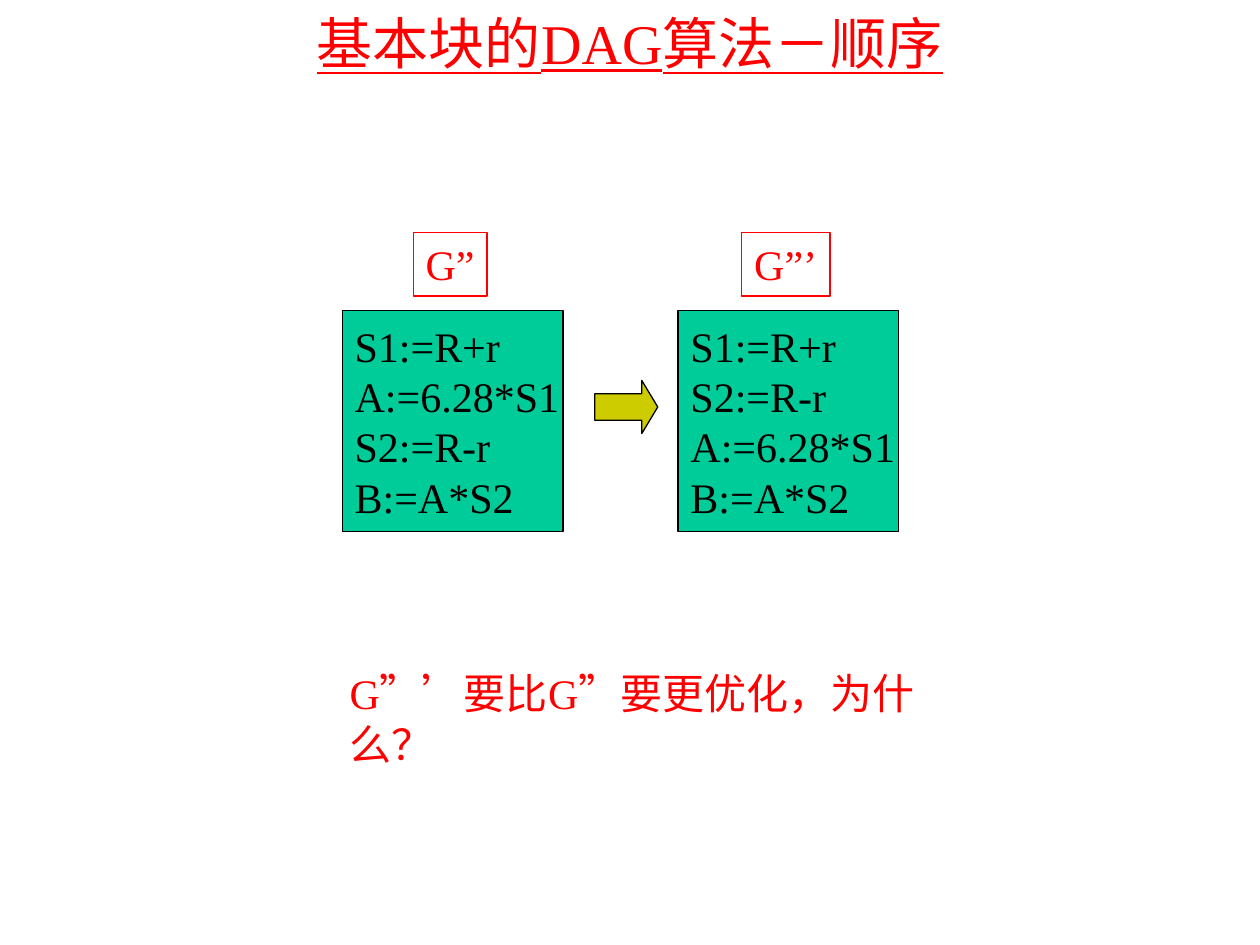
from pptx import Presentation
from pptx.dml.color import RGBColor
from pptx.enum import shapes, text
from pptx.util import Cm, Pt

FONT = "Times New Roman"
RED, BLACK, GREEN, OLIVE = "FF0000", "000000", "00CC99", "CCCC00"
RECT, ARROW = shapes.MSO_SHAPE.RECTANGLE, shapes.MSO_SHAPE.RIGHT_ARROW
TOP, MIDDLE = text.MSO_ANCHOR.TOP, text.MSO_ANCHOR.MIDDLE

TITLE = "基本块的DAG算法－顺序"
QUESTION = "G”’要比G”要更优化，为什么？"
BLOCKS = [
    ("G”", 1.49, ["S1:=R+r", "A:=6.28*S1", "S2:=R-r", "B:=A*S2"]),
    ("G”’", 1.78, ["S1:=R+r", "S2:=R-r", "A:=6.28*S1", "B:=A*S2"]),
]
BLOCK_LEFT, BLOCK_TOP, BLOCK_SIZE, BLOCK_STEP = 6.9, 6.26, 4.45, 6.77
LABEL_TOP, LABEL_HEIGHT, LABEL_SHIFT = 4.69, 1.28, 0.05


def color(value):
    return RGBColor.from_string(value)


def add_figure(page, kind, place, fill=None, line=BLACK):
    figure = page.shapes.add_shape(kind, *map(Cm, place))
    figure.shadow.inherit = False
    if fill:
        figure.fill.solid()
        figure.fill.fore_color.rgb = color(fill)
    else:
        figure.fill.background()
    figure.line.color.rgb = color(line)
    figure.line.width = Pt(0.75)
    return figure


def write(box, lines, size=24, ink=RED, align=text.PP_ALIGN.LEFT,
          anchor=TOP, wrap=False, underline=False):
    frame = box.text_frame
    frame.word_wrap = wrap
    frame.vertical_anchor = anchor
    frame.text = "\n".join(lines)
    for para in frame.paragraphs:
        para.alignment = align
        for span in para.runs:
            span.font.name = FONT
            span.font.size = Pt(size)
            span.font.color.rgb = color(ink)
            span.font.underline = underline


def main():
    deck = Presentation()
    deck.slide_width, deck.slide_height = Cm(25.4), Cm(19.05)
    page = deck.slides.add_slide(deck.slide_layouts[6])

    title = page.shapes.add_textbox(Cm(1.9), Cm(0.43), Cm(21.6), Cm(0.84))
    write(title, [TITLE], size=32, align=text.PP_ALIGN.CENTER,
          anchor=MIDDLE, wrap=True, underline=True)

    for index, (name, width, code) in enumerate(BLOCKS):
        left = BLOCK_LEFT + index * BLOCK_STEP
        block = add_figure(page, RECT, (left, BLOCK_TOP, BLOCK_SIZE, BLOCK_SIZE), GREEN)
        write(block, code, ink=BLACK, anchor=MIDDLE)
        label_left = left + (BLOCK_SIZE - width) / 2 - LABEL_SHIFT
        label = add_figure(page, RECT, (label_left, LABEL_TOP, width, LABEL_HEIGHT), line=RED)
        write(label, [name])

    arrow = add_figure(page, ARROW, (11.99, 7.67, 1.27, 1.07), OLIVE)
    arrow.adjustments[1] = 0.3

    question = page.shapes.add_textbox(Cm(6.8), Cm(13.34), Cm(12.4), Cm(1.28))
    write(question, [QUESTION], wrap=True)

    deck.save("out.pptx")


if __name__ == "__main__":
    main()
